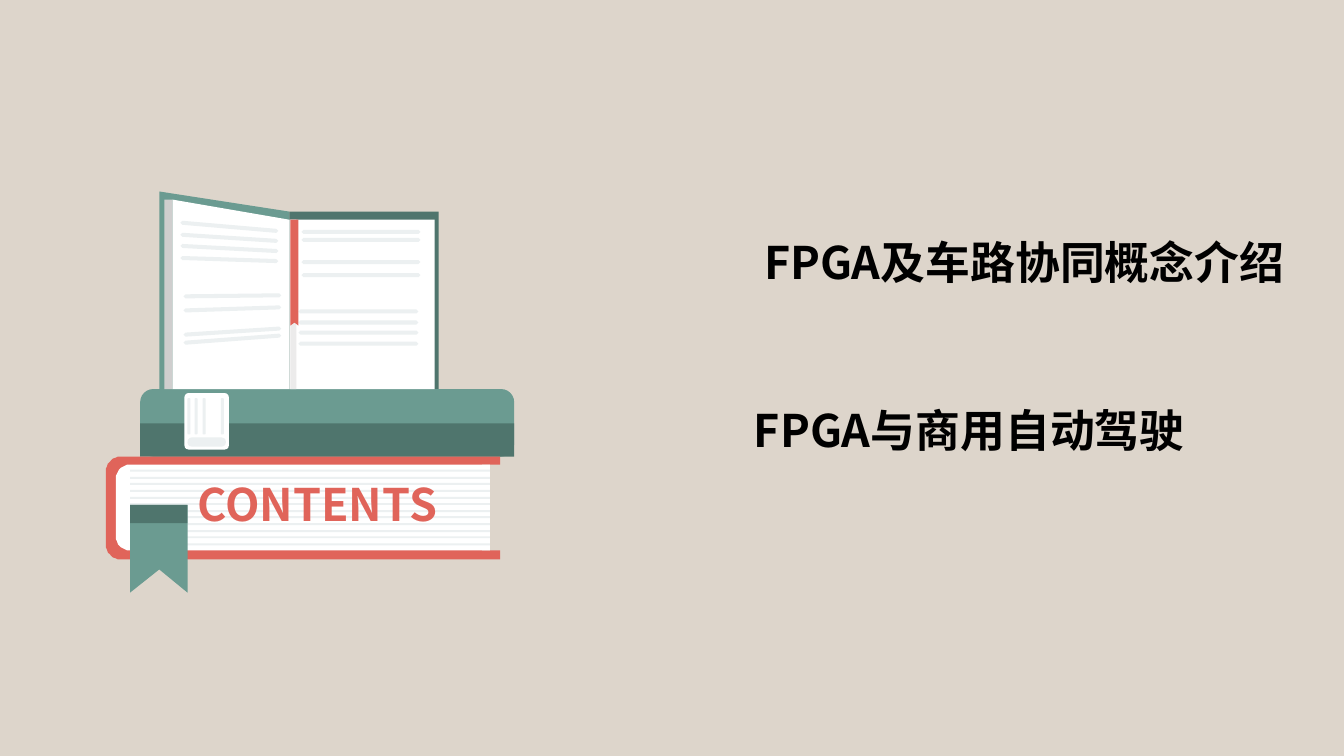
"""Builds the contents slide: a stack of books beside two section titles."""
import math

from lxml import etree
from pptx import Presentation
from pptx.dml.color import RGBColor
from pptx.enum.shapes import MSO_SHAPE
from pptx.enum.text import MSO_ANCHOR, MSO_AUTO_SIZE, PP_ALIGN
from pptx.oxml.ns import qn
from pptx.util import Pt

PX = 9144
RECT, ROUNDED = MSO_SHAPE.RECTANGLE, MSO_SHAPE.ROUNDED_RECTANGLE
TOP, LEFT, GROW = MSO_ANCHOR.TOP, PP_ALIGN.LEFT, MSO_AUTO_SIZE.SHAPE_TO_FIT_TEXT
FONT = "Noto Sans CJK SC"
SAND = RGBColor(0xDD, 0xD5, 0xCB)
GREEN = RGBColor(0x6B, 0x9B, 0x91)
DARK_GREEN = RGBColor(0x4F, 0x75, 0x6D)
CORAL = RGBColor(0xE0, 0x64, 0x5A)
WHITE = RGBColor(0xFF, 0xFF, 0xFF)
PALE = RGBColor(0xEC, 0xF0, 0xF1)
GREY = RGBColor(0xCF, 0xCE, 0xCE)
LIGHT_GREY = RGBColor(0xEC, 0xEB, 0xEB)
BLACK = RGBColor(0, 0, 0)

HEADING = ("CONTENTS", (186, 468, 324, 75))
SECTIONS = [
    ("FPGA及车路协同概念介绍", (748, 228, 596, 64)),
    ("FPGA与商用自动驾驶", (738, 395, 596, 64)),
]
STRIPE_COUNT, STRIPE_TOP, STRIPE_SPAN = 12, 466, 73
LABEL_BARS = [186, 193, 201, 219]
RIBBON = [(129, 501), (186, 501), (186, 588), (158, 565), (129, 588)]
LEFT_COVER = [(287, 386), (158, 386), (158, 190), (287, 210)]
LEFT_PAGE = [(171, 198), (287, 218), (287, 386), (171, 386)]
BOOKMARK = [(288, 218), (288, 323), (292, 320), (296, 323), (296, 218)]
PAGE_LINES = [
    (299, 417, [(y, y) for y in (228, 236, 258, 271)]),
    (296, 415, [(y, y) for y in (307, 318, 328, 339)]),
    (182, 279, [(338, 331), (330, 324), (306, 303), (292, 291)]),
    (179, 276, [(254, 257), (242, 247), (231, 237), (219, 227)]),
]


def paint(shape, color):
    """Give a shape a flat fill without line or shadow."""
    shape.fill.solid()
    shape.fill.fore_color.rgb = color
    shape.line.fill.background()
    shape.shadow.inherit = False


def add_block(book, box, color, radius=0):
    """Add a rectangle, rounded when a radius is given."""
    shape = book.shapes.add_shape(ROUNDED if radius else RECT, *[v * PX for v in box])
    if radius:
        shape.adjustments[0] = radius / min(box[2:])
    paint(shape, color)


def add_outline(book, points, color):
    """Add a closed polygon."""
    builder = book.shapes.build_freeform(*points[0], scale=PX)
    builder.add_line_segments(points[1:], close=True)
    paint(builder.convert_to_shape(), color)


def left_rounded(left, top, right, bottom, radius):
    """Return points of a box whose two left corners are round."""
    points = [(right, top)]
    for start, center_y in ((270, top + radius), (180, bottom - radius)):
        for step in range(10):
            angle = math.radians(start - step * 10)
            points.append((left + radius + radius * math.cos(angle),
                           center_y + radius * math.sin(angle)))
    return points + [(right, bottom)]


def add_text(box, text, size=32, color=BLACK, bold=True):
    """Write one formatted line into a box."""
    frame = box.text_frame
    frame.word_wrap, frame.auto_size, frame.vertical_anchor = True, GROW, TOP
    para = frame.paragraphs[0]
    para.alignment = LEFT
    span = para.add_run()
    span.text = text
    span.font.size, span.font.bold, span.font.name = Pt(size), bold, FONT
    span.font.color.rgb = color
    etree.SubElement(span.font._element, qn("a:ea"), typeface=FONT)


def draw_books(book):
    """Draw the two lying books and the open one."""
    add_block(book, (139, 386, 371, 67), GREEN, 13)
    add_block(book, (139, 420, 371, 33), DARK_GREEN)
    add_block(book, (183, 390, 44, 56), WHITE, 4)
    cover = left_rounded(105, 453, 496, 555, 15)
    add_outline(book, cover + [(496, 546), (478, 546), (478, 461), (496, 461)], CORAL)
    add_outline(book, left_rounded(115, 461, 486, 546, 13), WHITE)
    for index in range(STRIPE_COUNT):
        top = STRIPE_TOP + round(index * STRIPE_SPAN / (STRIPE_COUNT - 1))
        add_block(book, (129, top, 357, 2), PALE)
    add_outline(book, RIBBON, GREEN)
    add_block(book, (129, 501, 57, 18), DARK_GREEN)
    add_block(book, (186, 434, 38, 9), PALE, 4)
    for left in LABEL_BARS:
        add_block(book, (left, 395, 3, 36), PALE, 1)
    add_outline(book, LEFT_COVER, GREEN)
    add_outline(book, LEFT_PAGE, WHITE)
    add_block(book, (287, 210, 148, 176), DARK_GREEN)
    add_block(book, (287, 218, 144, 168), WHITE)
    add_block(book, (163, 198, 8, 188), GREY)
    add_block(book, (288, 218, 6, 168), LIGHT_GREY)
    for left, right, lines in PAGE_LINES:
        for start, end in lines:
            add_outline(book, [(left, start + 2), (left + 2, start), (right - 2, end),
                               (right, end + 2), (right - 2, end + 4),
                               (left + 2, start + 4)], PALE)
    add_outline(book, BOOKMARK, CORAL)


def main():
    """Build and save the deck."""
    deck = Presentation()
    deck.slide_width, deck.slide_height = 1333 * PX, 750 * PX
    page = deck.slides.add_slide(deck.slide_layouts[5])
    page.background.fill.solid()
    page.background.fill.fore_color.rgb = SAND
    draw_books(page.shapes.add_group_shape())
    text, place = HEADING
    title = page.shapes.title
    title.left, title.top, title.width, title.height = [v * PX for v in place]
    add_text(title, text, color=CORAL)
    title.element.getparent().append(title.element)
    for text, place in SECTIONS:
        add_text(page.shapes.add_textbox(*[v * PX for v in place]), text)
    deck.save("out.pptx")


if __name__ == "__main__":
    main()
